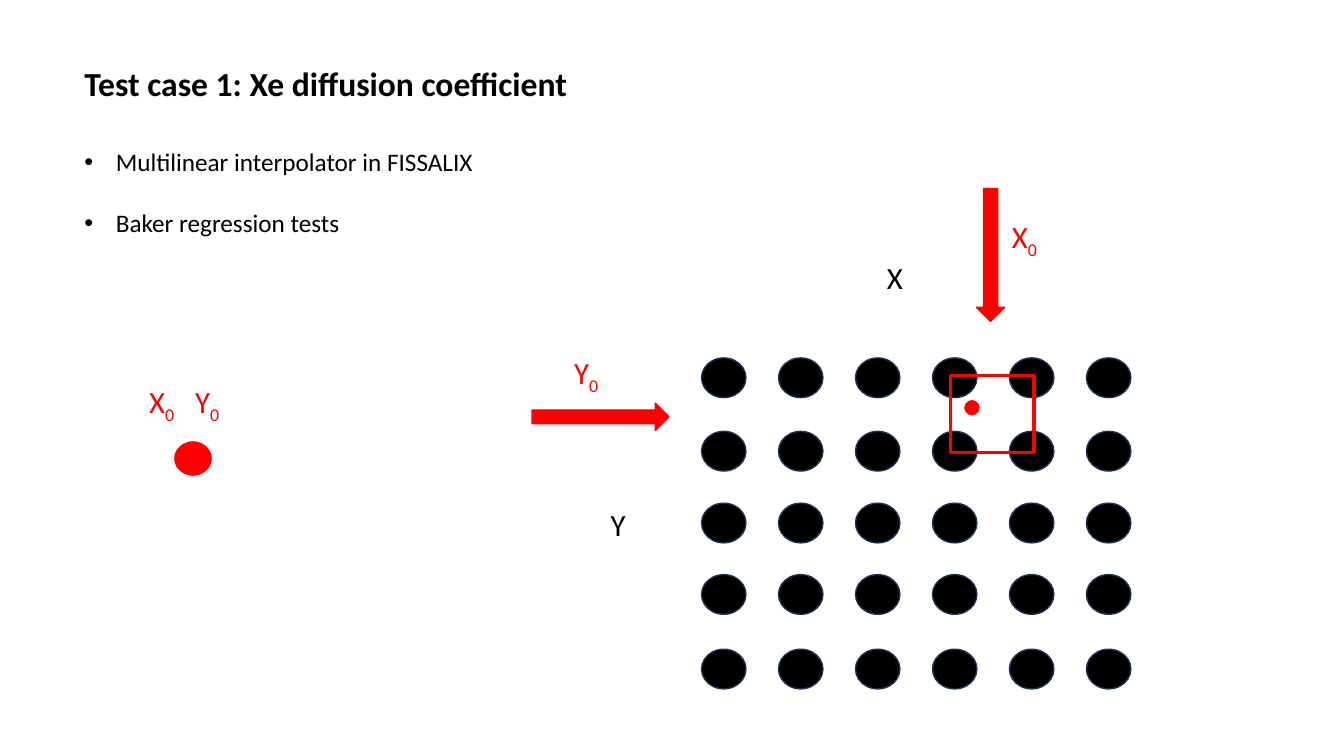
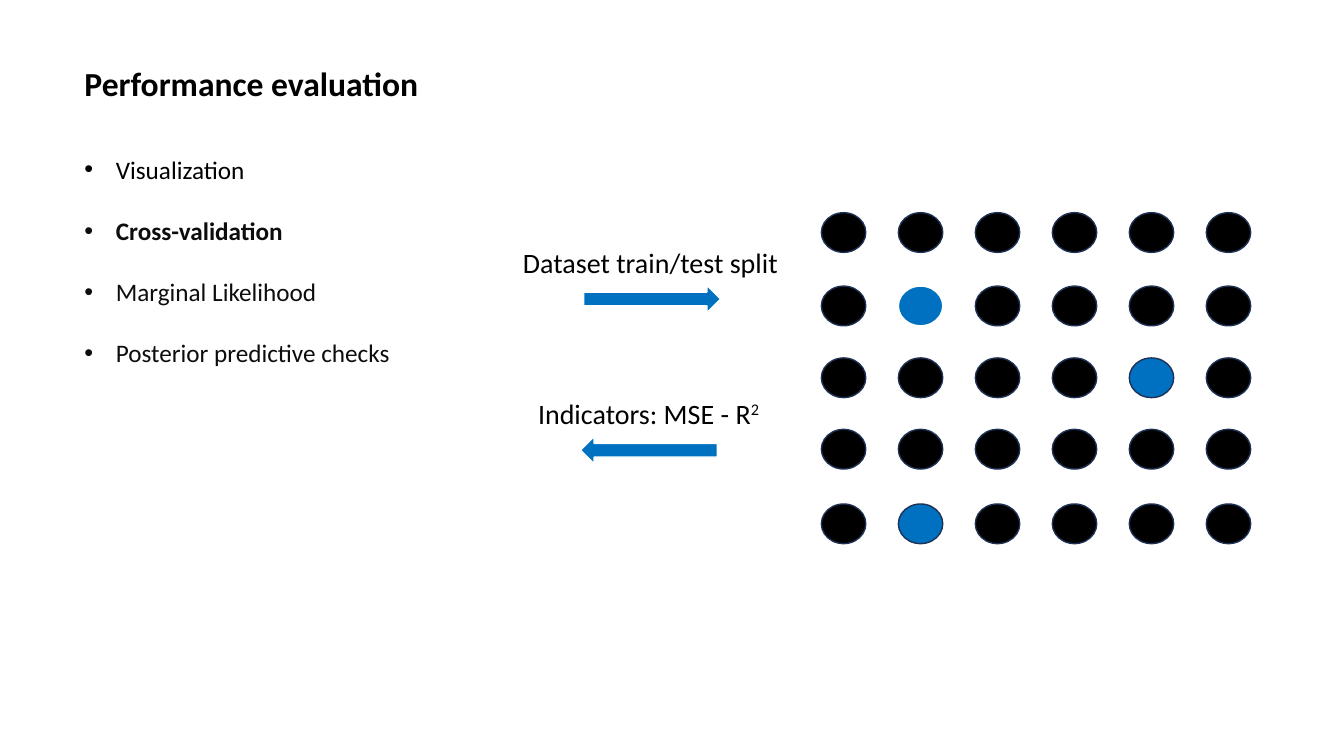
from dataclasses import dataclass

from pptx import Presentation
from pptx.dml.color import RGBColor
from pptx.enum.shapes import MSO_SHAPE
from pptx.oxml.ns import qn
from pptx.util import Cm, Pt
from lxml import etree

DOT = MSO_SHAPE.FLOWCHART_CONNECTOR
RECT = MSO_SHAPE.RECTANGLE
RIGHT, LEFT, DOWN = MSO_SHAPE.RIGHT_ARROW, MSO_SHAPE.LEFT_ARROW, MSO_SHAPE.DOWN_ARROW

FONT = "Calibri"
BLACK, INK, WHITE, NAVY = "000000", "0D0D0D", "FFFFFF", "1E3256"
RED, BLUE = "FF0000", "0070C0"

# Dot grid: even columns, hand-spaced rows (cm)
DOT_W, DOT_H = 1.12, 1.0
COLUMNS, COLUMN_PITCH = 6, 1.94
ROW_OFFSETS = (0, 1.85, 3.66, 5.46, 7.34)


@dataclass
class Box:
    left: float
    top: float
    width: float
    height: float

    def lengths(self) -> tuple:
        return Cm(self.left), Cm(self.top), Cm(self.width), Cm(self.height)


@dataclass
class Span:
    text: str
    baseline: int = 0
    bold: bool = False
    color: str = ""


@dataclass
class Figure:
    kind: int
    box: Box
    fill: str
    line: str
    weight: float = 1


@dataclass
class Label:
    spans: list
    box: Box
    size: float
    color: str = BLACK


def rgb(value: str) -> RGBColor:
    return RGBColor.from_string(value)


def add_text(s, box: Box, paragraphs: list, *, size: float, color: str = BLACK,
             bullets: bool = False, gap: float = 0) -> None:
    """Each paragraph is a list of spans."""
    tf = s.shapes.add_textbox(*box.lengths()).text_frame
    tf.word_wrap = True
    for i, spans in enumerate(paragraphs):
        p = tf.add_paragraph() if i else tf.paragraphs[0]
        if i:
            p.space_before = Pt(gap)
        if bullets:
            add_bullet(p)
        for span in spans:
            r = p.add_run()
            r.text = span.text
            r.font.name, r.font.size, r.font.bold = FONT, Pt(size), span.bold
            r.font.color.rgb = rgb(span.color or color)
            if span.baseline:
                r._r.get_or_add_rPr().set("baseline", str(span.baseline * 1000))


def add_bullet(p) -> None:
    pPr = p._p.get_or_add_pPr()
    pPr.set("marL", str(Cm(0.79)))
    pPr.set("indent", str(-Cm(0.79)))
    etree.SubElement(pPr, qn("a:buFont")).set("typeface", "Arial")
    etree.SubElement(pPr, qn("a:buChar")).set("char", "•")


def add_figure(s, figure: Figure) -> None:
    sp = s.shapes.add_shape(figure.kind, *figure.box.lengths())
    sp.shadow.inherit = False
    if figure.fill:
        sp.fill.solid()
        sp.fill.fore_color.rgb = rgb(figure.fill)
    else:
        sp.fill.background()
    sp.line.color.rgb = rgb(figure.line)
    sp.line.width = Pt(figure.weight)


def add_dot_grid(s, left: float, top: float, test_dots: dict) -> None:
    """Draw the data points; test_dots maps (row, column) to a line colour."""
    for row, offset in enumerate(ROW_OFFSETS):
        for column in range(COLUMNS):
            box = Box(left + column * COLUMN_PITCH, top + offset, DOT_W, DOT_H)
            line = test_dots.get((row, column))
            add_figure(s, Figure(DOT, box, BLUE if line else BLACK, line or NAVY))


def add_labels(s, labels: list) -> None:
    for label in labels:
        add_text(s, label.box, [label.spans], size=label.size, color=label.color)


def add_topic_slide(prs, title: str, bullets: list, bullet_box: Box):
    s = prs.slides.add_slide(prs.slide_layouts[6])
    add_text(s, Box(1.88, 1.47, 12.95, 1.27), [[Span(title, bold=True)]], size=24)
    add_text(s, bullet_box, [[span] for span in bullets], size=18, bullets=True, gap=22)
    return s


def subscripted(letter: str) -> list:
    return [Span(letter), Span("0", -25)]


def build_test_case(prs) -> None:
    s = add_topic_slide(
        prs, "Test case 1: Xe diffusion coefficient",
        [Span("Multilinear interpolator in FISSALIX"), Span("Baker regression tests")],
        Box(1.88, 3.56, 28.45, 2.57))
    add_dot_grid(s, 17.68, 9.02, {})
    # Query point, axis arrows and enclosing cell
    for figure in (
        Figure(DOT, Box(4.37, 11.1, 0.99, 0.91), RED, WHITE),
        Figure(RIGHT, Box(13.41, 10.16, 3.45, 0.69), RED, RED),
        Figure(DOWN, Box(24.61, 4.75, 0.71, 3.35), RED, RED),
        Figure(RECT, Box(23.95, 9.47, 2.11, 1.93), "", RED, 2.25),
        Figure(DOT, Box(24.28, 10.06, 0.43, 0.43), RED, WHITE),
    ):
        add_figure(s, figure)
    add_labels(s, [
        Label(subscripted("X"), Box(3.51, 9.53, 1.4, 1.42), 22, RED),
        Label(subscripted("Y"), Box(4.67, 9.53, 1.4, 1.42), 22, RED),
        Label([Span("X")], Box(22.1, 6.4, 1.9, 1.63), 22),
        Label([Span("Y")], Box(15.14, 12.62, 1.9, 1.63), 22),
        Label(subscripted("X"), Box(25.25, 5.36, 1.63, 1.42), 22, RED),
        Label(subscripted("Y"), Box(14.22, 8.79, 1.55, 1.42), 22, RED),
    ])


def build_evaluation(prs) -> None:
    s = add_topic_slide(
        prs, "Performance evaluation",
        [Span("Visualization"), Span("Cross-validation", bold=True, color=INK),
         Span("Marginal Likelihood", color=INK),
         Span("Posterior predictive checks", color=INK)],
        Box(1.88, 3.76, 9.02, 6.4))
    add_dot_grid(s, 20.7, 5.36, {(1, 1): WHITE, (2, 4): NAVY, (4, 1): NAVY})
    # Arrows to and from the dataset
    add_figure(s, Figure(RIGHT, Box(14.71, 7.19, 3.45, 0.69), BLUE, WHITE))
    add_figure(s, Figure(LEFT, Box(14.63, 11, 3.45, 0.69), BLUE, WHITE))
    add_labels(s, [
        Label([Span("Dataset train/test split")], Box(12.93, 6.05, 7.01, 1.12), 20),
        Label([Span("Indicators: MSE - R"), Span("2", 30)],
              Box(13.31, 9.86, 6.27, 1.12), 20),
    ])


def main() -> None:
    prs = Presentation()
    prs.slide_width, prs.slide_height = Cm(33.87), Cm(19.05)
    build_test_case(prs)
    build_evaluation(prs)
    prs.save("out.pptx")


if __name__ == "__main__":
    main()
